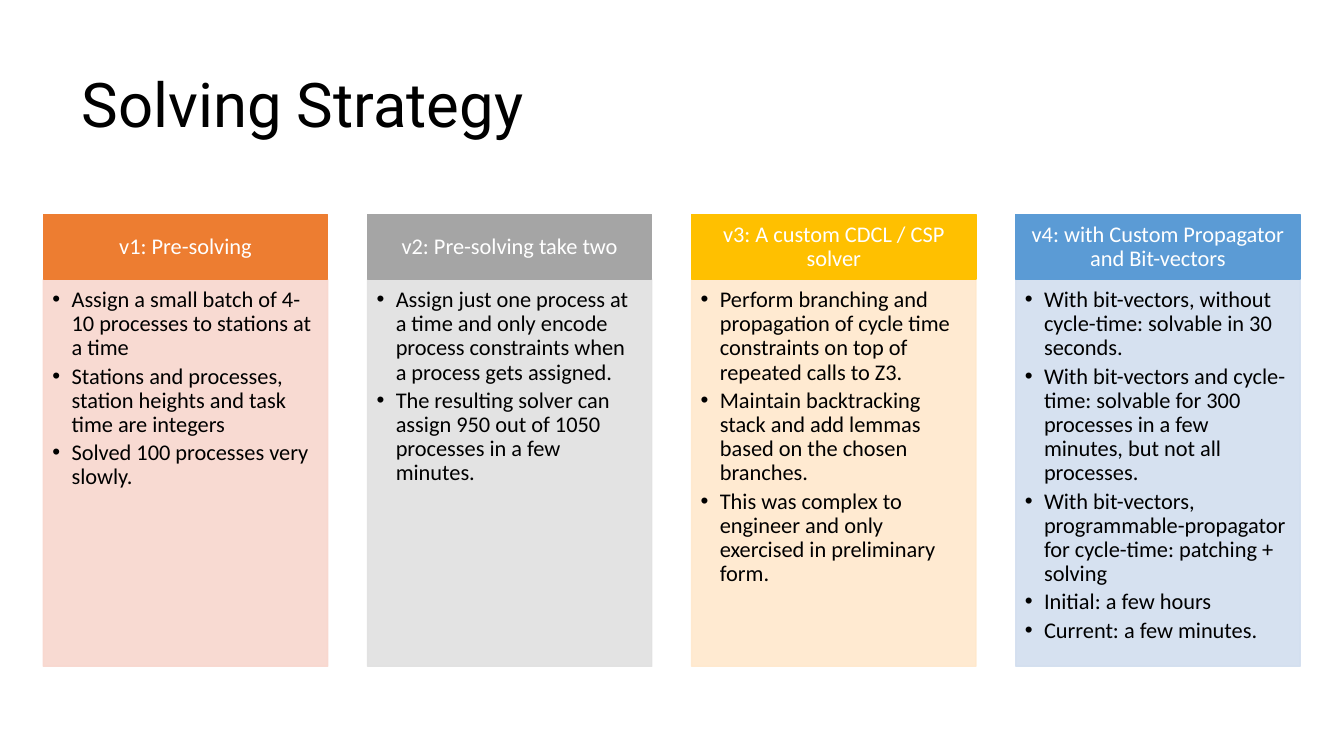
"""Build the Solving Strategy slide with four version columns."""
from dataclasses import dataclass

from lxml import etree
from pptx import Presentation, util as u
from pptx.dml.color import RGBColor
from pptx.enum import shapes, text
from pptx.oxml.ns import qn

LEFT, WIDE, STEP = 0.43, 2.82, 2.82 * 1.14
TOP, HEAD, BODY = 2.13, 0.64, 3.84


@dataclass
class Column:
    """Hold the wording and colours of one column."""
    title: str
    dark: str
    pale: str
    items: tuple[str, ...]


COLUMNS = [
    Column("v1: Pre-solving", "ED7D31", "F8D7CE", (
        "Assign a small batch of 4-10 processes to stations at a time",
        "Stations and processes, station heights and task time are integers",
        "Solved 100 processes very slowly.")),
    Column("v2: Pre-solving take two", "A5A5A5", "E1E1E1", (
        "Assign just one process at a time and only encode process "
        "constraints when a process gets assigned.",
        "The resulting solver can assign 950 out of 1050 processes in a few minutes.")),
    Column("v3: A custom CDCL / CSP solver", "FFC000", "FFE8CC", (
        "Perform branching and propagation of cycle time constraints "
        "on top of repeated calls to Z3.",
        "Maintain backtracking stack and add lemmas based on the chosen branches.",
        "This was complex to engineer and only exercised in preliminary form.")),
    Column("v4: with Custom Propagator and Bit-vectors", "5B9BD5", "D2DEEF", (
        "With bit-vectors, without cycle-time: solvable in 30 seconds.",
        "With bit-vectors and cycle-time: solvable for 300 processes "
        "in a few minutes, but not all processes.",
        "With bit-vectors, programmable-propagator for cycle-time: patching + solving",
        "Initial: a few hours",
        "Current: a few minutes.")),
]


def tint(form, code: str) -> None:
    """Paint fill and line with one hex colour."""
    form.fill.solid()
    form.fill.fore_color.rgb = RGBColor.from_string(code)
    form.line.color.rgb = RGBColor.from_string(code)
    form.line.width = u.Pt(1)


def fade(form, share: int) -> None:
    """Make fill and line opaque by a percentage."""
    for node in form._element.spPr.iter(qn("a:srgbClr")):
        etree.SubElement(node, qn("a:alpha")).set("val", str(share * 1000))


def place(form, left: float, top: float, wide: float, high: float) -> None:
    """Move and size a shape in inches."""
    form.left, form.top = u.Inches(left), u.Inches(top)
    form.width, form.height = u.Inches(wide), u.Inches(high)


def write(form, words: str, font: str, size: float, code: str, align, anchor,
          pads: tuple[float, ...]) -> None:
    """Fill a shape with formatted text."""
    frame = form.text_frame
    frame.text = words
    frame.word_wrap = True
    frame.auto_size = text.MSO_AUTO_SIZE.NONE
    frame.vertical_anchor = anchor
    (frame.margin_left, frame.margin_top,
     frame.margin_right, frame.margin_bottom) = map(u.Inches, pads)
    for para in frame.paragraphs:
        para.alignment = align
        para.line_spacing = 0.9
        para.space_before = u.Pt(0)
        for run in para.runs:
            run.font.name, run.font.size = font, u.Pt(size)
            run.font.bold = False
            run.font.color.rgb = RGBColor.from_string(code)


def bullet(para) -> None:
    """Give a paragraph a hanging bullet."""
    para.space_after = u.Pt(2.9)
    props = para._p.get_or_add_pPr()
    props.set("marL", str(u.Inches(0.19)))
    props.set("indent", str(-u.Inches(0.19)))
    etree.SubElement(props, qn("a:buFont")).set("typeface", "Arial")
    etree.SubElement(props, qn("a:buChar")).set("char", "•")


def draw(slide, body, col: Column, left: float) -> None:
    """Draw one column as a header bar above a list."""
    bar = slide.shapes.add_shape(shapes.MSO_SHAPE.RECTANGLE, 0, 0, 0, 0)
    bar.shadow.inherit = False
    place(bar, left, TOP, WIDE, HEAD)
    tint(bar, col.dark)
    write(bar, col.title, "Calibri", 16, "FFFFFF", text.PP_ALIGN.CENTER,
          text.MSO_ANCHOR.MIDDLE, (0.12, 0.07, 0.12, 0.07))
    place(body, left, TOP + HEAD, WIDE, BODY)
    tint(body, col.pale)
    fade(body, 90)
    write(body, "\n".join(col.items), "Calibri", 16, "000000", text.PP_ALIGN.LEFT,
          text.MSO_ANCHOR.TOP, (0.09, 0.09, 0.12, 0.14))
    for para in body.text_frame.paragraphs:
        bullet(para)


def main() -> None:
    """Build and save the deck."""
    deck = Presentation()
    deck.slide_width, deck.slide_height = u.Inches(13.33), u.Inches(7.5)
    slide = deck.slides.add_slide(deck.slide_layouts.get_by_name("Comparison"))
    title, *lists = slide.placeholders
    place(title, 0.71, 0.6, 9.83, 0.94)
    write(title, "Solving Strategy", "Roboto", 44, "000000", text.PP_ALIGN.LEFT,
          text.MSO_ANCHOR.MIDDLE, (0.1, 0.05, 0.1, 0.05))
    for spot, (body, col) in enumerate(zip(lists, COLUMNS)):
        draw(slide, body, col, LEFT + spot * STEP)
    deck.save("out.pptx")


if __name__ == "__main__":
    main()
